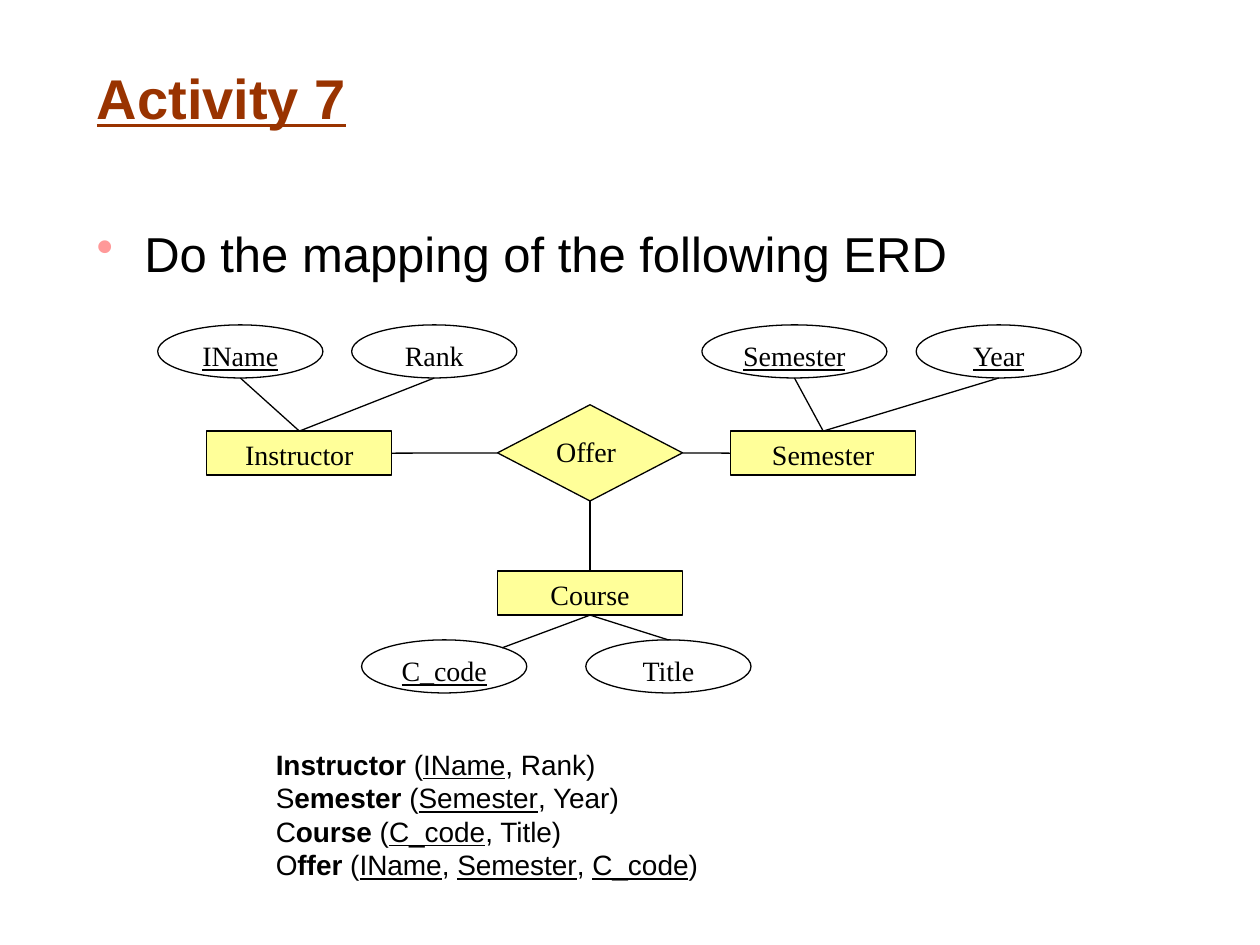
from lxml import etree
from pptx import Presentation
from pptx.dml.color import RGBColor
from pptx.enum.shapes import MSO_CONNECTOR, MSO_SHAPE as Preset
from pptx.enum.text import MSO_ANCHOR, PP_ALIGN
from pptx.oxml.ns import qn
from pptx.util import Cm, Pt

COLORS = {"title": "993300", "ink": "000000", "entity": "FFFF99", "bullet": "FF9999"}
RGB = {name: RGBColor.from_string(value) for name, value in COLORS.items()}


def style(font, name, size, color="ink"):
    font.name, font.size, font.color.rgb = name, Pt(size), RGB[color]


def add_node(preset, label, left, top, width, height, filled=False, key=False):
    """Add one labelled ERD symbol; key attributes are underlined."""
    node = slide.shapes.add_shape(preset, Cm(left), Cm(top), Cm(width), Cm(height))
    node.shadow.inherit = False
    if filled:
        node.fill.solid()
        node.fill.fore_color.rgb = RGB["entity"]
    else:
        node.fill.background()
    node.line.color.rgb, node.line.width = RGB["ink"], Pt(0.75)
    node.text_frame.vertical_anchor = MSO_ANCHOR.TOP
    node.text_frame.word_wrap = preset == Preset.RECTANGLE
    paragraph = node.text_frame.paragraphs[0]
    paragraph.text, paragraph.alignment = label, PP_ALIGN.CENTER
    style(paragraph.font, "Times New Roman", 16)
    paragraph.font.underline = key
    return node


prs = Presentation()
prs.slide_width, prs.slide_height = Cm(25.4), Cm(19.05)
slide = prs.slides.add_slide(prs.slide_layouts[5])

title = slide.shapes.title
title.left, title.top, title.width, title.height = Cm(1.7), Cm(0.46), Cm(23.06), Cm(3)
title.text_frame.vertical_anchor = MSO_ANCHOR.MIDDLE
heading = title.text_frame.paragraphs[0]
heading.text, heading.alignment = "Activity 7", PP_ALIGN.LEFT
style(heading.font, "Arial", 32, "title")
heading.font.bold = heading.font.underline = True

task = slide.shapes.add_textbox(Cm(1.7), Cm(4.38), Cm(23.06), Cm(1.5)).text_frame
task.word_wrap = True
instruction = task.paragraphs[0]
instruction.text = "Do the mapping of the following ERD"
instruction.alignment = PP_ALIGN.JUSTIFY
style(instruction.font, "Arial", 28)
bullet_props = instruction._p.get_or_add_pPr()
bullet_props.set("marL", str(Cm(0.96)))
bullet_props.set("indent", str(Cm(-0.96)))
bullet_color = etree.Element(qn("a:buClr"))
etree.SubElement(bullet_color, qn("a:srgbClr"), val=COLORS["bullet"])
bullet_char = etree.Element(qn("a:buChar"), char="•")
for position, element in enumerate((bullet_color, bullet_char)):
    bullet_props.insert(position, element)

# Entities and the relationship between them
ENTITY_W, ENTITY_H = 3.73, 0.89
entities = {
    name: add_node(Preset.RECTANGLE, name, left, top, ENTITY_W, ENTITY_H, filled=True)
    for name, left, top in [
        ("Instructor", 4.17, 8.69), ("Semester", 14.73, 8.69), ("Course", 10.03, 11.51)]
}
offer = add_node(Preset.DIAMOND, "Offer", 10.03, 8.16, ENTITY_W, 1.94, filled=True)
offer.text_frame.paragraphs[0].alignment = PP_ALIGN.LEFT

TOP, LEFT, BOTTOM, RIGHT = range(4)
links = []
for entity, offer_site, entity_site in [
        ("Instructor", LEFT, RIGHT), ("Semester", RIGHT, LEFT), ("Course", BOTTOM, TOP)]:
    link = slide.shapes.add_connector(MSO_CONNECTOR.STRAIGHT, 0, 0, 0, 0)
    link.begin_connect(offer, offer_site)
    link.end_connect(entities[entity], entity_site)
    links.append(link)

# Attributes: entity, label, left, top, width, key, entity site, link end within the oval
attributes = [
    ("Instructor", "IName", 3.18, 6.55, 3.33, True, TOP, (0.5, 1)),
    ("Instructor", "Rank", 7.09, 6.55, 3.33, False, TOP, (0.5, 1)),
    ("Semester", "Semester", 14.15, 6.55, 3.73, True, TOP, (0.5, 1)),
    ("Semester", "Year", 18.47, 6.55, 3.33, True, TOP, (0.5, 1)),
    ("Course", "C_code", 7.29, 12.9, 3.33, True, BOTTOM, (0.85, 0.15)),
    ("Course", "Title", 11.81, 12.9, 3.33, False, BOTTOM, (0.5, 0)),
]
for entity, label, left, top, width, key, site, (across, down) in attributes:
    oval = add_node(Preset.OVAL, label, left, top, width, 1.07, key=key)
    end_x = oval.left + int(oval.width * across)
    end_y = oval.top + int(oval.height * down)
    link = slide.shapes.add_connector(MSO_CONNECTOR.STRAIGHT, end_x, end_y, end_x, end_y)
    link.begin_connect(entities[entity], site)
    links.append(link)

for link in links:
    link.line.color.rgb, link.line.width = RGB["ink"], Pt(0.75)
    etree.SubElement(link._element.spPr, qn("a:effectLst"))

# Relations: plain first letter, bold name, key attributes, remaining attributes
relations = [
    ("", "Instructor", ["IName"], ", Rank"),
    ("S", "emester", ["Semester"], ", Year"),
    ("C", "ourse", ["C_code"], ", Title"),
    ("O", "ffer", ["IName", "Semester", "C_code"], ""),
]
schema = slide.shapes.add_textbox(Cm(5.31), Cm(14.94), Cm(11.02), Cm(3)).text_frame
schema.word_wrap = True
for row, (initial, name, keys, others) in enumerate(relations):
    relation = schema.add_paragraph() if row else schema.paragraphs[0]
    style(relation.font, "Arial", 16)
    pieces = [(initial, ""), (name, "bold")]
    for position, key in enumerate(keys):
        pieces += [(", " if position else " (", ""), (key, "underline")]
    pieces.append((others + ")", ""))
    for text, emphasis in pieces:
        if text:
            run = relation.add_run()
            run.text = text
            if emphasis:
                setattr(run.font, emphasis, True)

prs.save("out.pptx")
